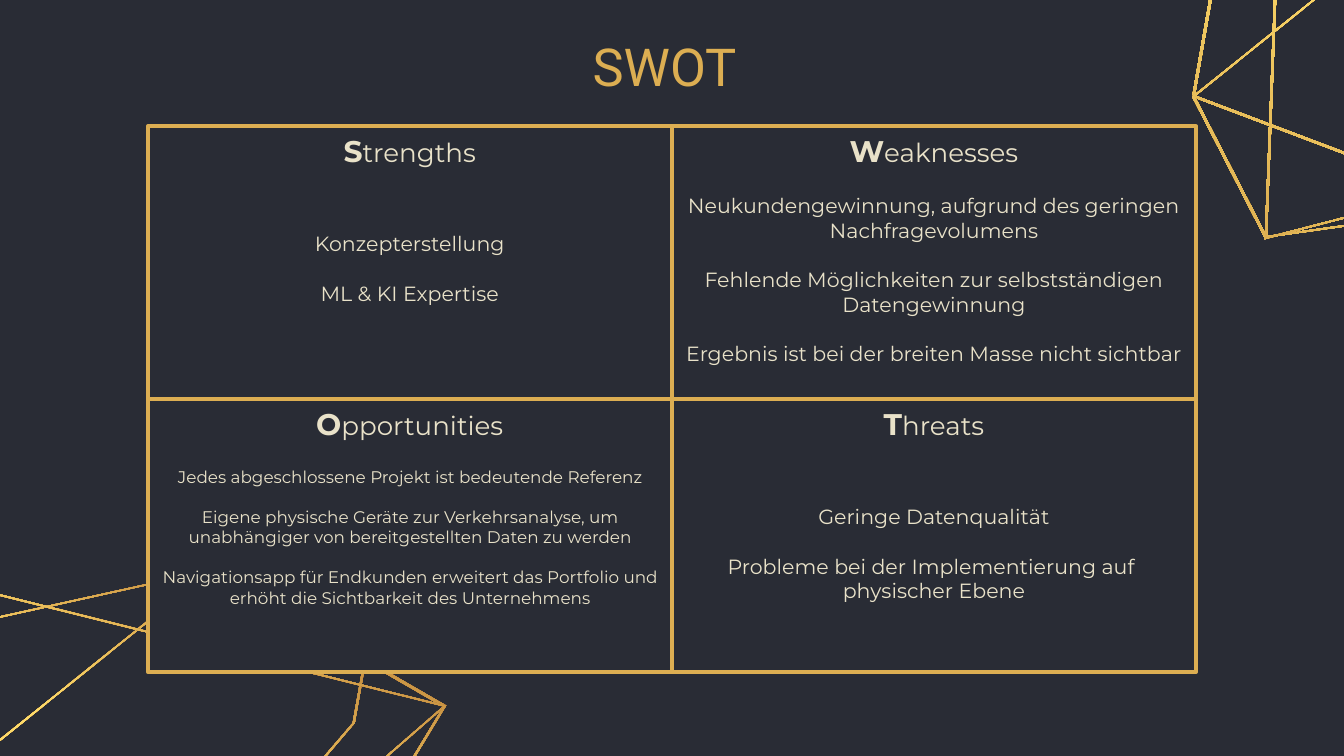
from lxml.etree import SubElement
from pptx import Presentation
from pptx.dml.color import RGBColor
from pptx.enum.shapes import MSO_SHAPE
from pptx.enum.text import MSO_ANCHOR, MSO_AUTO_SIZE, PP_ALIGN
from pptx.oxml.ns import qn
from pptx.util import Inches, Pt

NIGHT = RGBColor(0x29, 0x2C, 0x35)
GOLD = RGBColor(0xDC, 0xAE, 0x52)
BRONZE = RGBColor(0xAF, 0x71, 0x32)
YELLOW = RGBColor(0xFF, 0xDD, 0x6B)
CREAM = RGBColor(0xE9, 0xE2, 0xC9)

SLIDE_WIDTH = Inches(10)
SLIDE_HEIGHT = SLIDE_WIDTH * 9 // 16
GRID_LEFT, GRID_TOP = 1.1, 0.94
CELL_WIDTH, CELL_HEIGHT = 3.9, 2.03
LINE_HEIGHT = 1.2  # of Montserrat, as a share of the font size

# Corners of the three overlapping outlines of one ornament, in inches
ORNAMENT = [
    [(-1.07, 6.36), (-0.79, 4.76), (1.57, 4.24), (2.78, 4.6), (2.64, 5.38), (1.1, 7.18)],
    [(-0.53, 7.41), (-1.07, 6.36), (1.57, 4.24), (3.32, 5.25), (1.1, 7.18)],
    [(-0.53, 7.42), (-0.41, 4.32), (3.32, 5.25), (2.48, 6.64)],
]
ORNAMENT_OFFSETS = [(0, 0), (9.94, -5.64)]
INNER_SCALE = 0.99
GRADIENT_STOPS = [(0, BRONZE), (50, YELLOW), (100, GOLD)]

# Column, row, heading, body size, gap below the heading, body lines
QUADRANTS = [
    (0, 0, "Strengths", 11, 2 * 14, ["Konzepterstellung", "ML & KI Expertise"]),
    (1, 0, "Weaknesses", 11, 11, [
        "Neukundengewinnung, aufgrund des geringen Nachfragevolumens",
        "Fehlende Möglichkeiten zur selbstständigen Datengewinnung",
        "Ergebnis ist bei der breiten Masse nicht sichtbar",
    ]),
    (0, 1, "Opportunities", 9, 11, [
        "Jedes abgeschlossene Projekt ist bedeutende Referenz",
        "Eigene physische Geräte zur Verkehrsanalyse, um unabhängiger von "
        "bereitgestellten Daten zu werden",
        "Navigationsapp für Endkunden erweitert das Portfolio und erhöht die "
        "Sichtbarkeit des Unternehmens",
    ]),
    (1, 1, "Threats", 11, 2 * 14, [
        "Geringe Datenqualität",
        "Probleme bei der Implementierung auf \vphysischer Ebene",
    ]),
]


def format_run(run, size, color=CREAM, font="Montserrat", bold=False):
    run.font.name = font
    run.font.size = Pt(size)
    run.font.bold = bold
    run.font.color.rgb = color


def fill_with_gradient(shape):
    shape.fill.gradient()
    shape.fill.gradient_angle = 239
    stop_list = shape.element.spPr.find(qn("a:gradFill")).find(qn("a:gsLst"))
    for stop in list(stop_list):
        stop_list.remove(stop)
    for position, color in GRADIENT_STOPS:
        stop = SubElement(stop_list, qn("a:gs"), pos=str(position * 1000))
        SubElement(stop, qn("a:srgbClr"), val=str(color))


def add_thin_outline(slide, points):
    """Draw a thin closed band: a polygon with a slightly smaller one cut out."""
    outer = [(Inches(x), Inches(y)) for x, y in points]
    center_x, center_y = (sum(values) / len(outer) for values in zip(*outer))
    inner = [(center_x + (x - center_x) * INNER_SCALE,
              center_y + (y - center_y) * INNER_SCALE) for x, y in outer]
    builder = slide.shapes.build_freeform(*outer[0])
    builder.add_line_segments(outer[1:], close=True)
    builder.move_to(*inner[0])
    builder.add_line_segments(inner[:0:-1], close=True)
    shape = builder.convert_to_shape()
    shape.shadow.inherit = False
    shape.line.fill.background()
    fill_with_gradient(shape)


def add_ornament(slide, offset_x, offset_y):
    for points in ORNAMENT:
        add_thin_outline(slide, [(x + offset_x, y + offset_y) for x, y in points])


def add_quadrant(slide, column, row, heading, size, heading_gap, lines):
    shape = slide.shapes.add_shape(
        MSO_SHAPE.RECTANGLE,
        Inches(GRID_LEFT + column * CELL_WIDTH), Inches(GRID_TOP + row * CELL_HEIGHT),
        Inches(CELL_WIDTH), Inches(CELL_HEIGHT))
    shape.shadow.inherit = False
    shape.fill.solid()
    shape.fill.fore_color.rgb = NIGHT
    shape.line.color.rgb = GOLD
    shape.line.width = Pt(2)
    text_frame = shape.text_frame
    text_frame.word_wrap = True
    text_frame.vertical_anchor = MSO_ANCHOR.TOP

    paragraph = text_frame.paragraphs[0]
    paragraph.alignment = PP_ALIGN.CENTER
    for text, run_size, bold in ((heading[0], 16, True), (heading[1:], 14, False)):
        run = paragraph.add_run()
        run.text = text
        format_run(run, run_size, bold=bold)

    for index, line in enumerate(lines):
        paragraph = text_frame.add_paragraph()
        paragraph.text = line
        paragraph.alignment = PP_ALIGN.CENTER
        paragraph.space_before = Pt(LINE_HEIGHT * (size if index else heading_gap))
        for run in paragraph.runs:
            format_run(run, size)


def set_title(slide, text):
    title = slide.shapes.title
    title.left, title.top = Inches(2.13), Inches(0.25)
    title.width, title.height = Inches(5.63), Inches(0.47)
    text_frame = title.text_frame
    text_frame.text = text
    text_frame.auto_size = MSO_AUTO_SIZE.NONE
    text_frame.vertical_anchor = MSO_ANCHOR.MIDDLE
    text_frame.margin_top = text_frame.margin_bottom = Inches(0.1)
    paragraph = text_frame.paragraphs[0]
    paragraph.alignment = PP_ALIGN.CENTER
    format_run(paragraph.runs[0], 28, GOLD, "Roboto")


def main():
    presentation = Presentation()
    presentation.slide_width = SLIDE_WIDTH
    presentation.slide_height = SLIDE_HEIGHT
    slide = presentation.slides.add_slide(presentation.slide_layouts[5])
    slide.background.fill.solid()
    slide.background.fill.fore_color.rgb = NIGHT
    set_title(slide, "SWOT")
    for offset in ORNAMENT_OFFSETS:
        add_ornament(slide, *offset)
    for quadrant in QUADRANTS:
        add_quadrant(slide, *quadrant)
    presentation.save("out.pptx")


if __name__ == "__main__":
    main()
